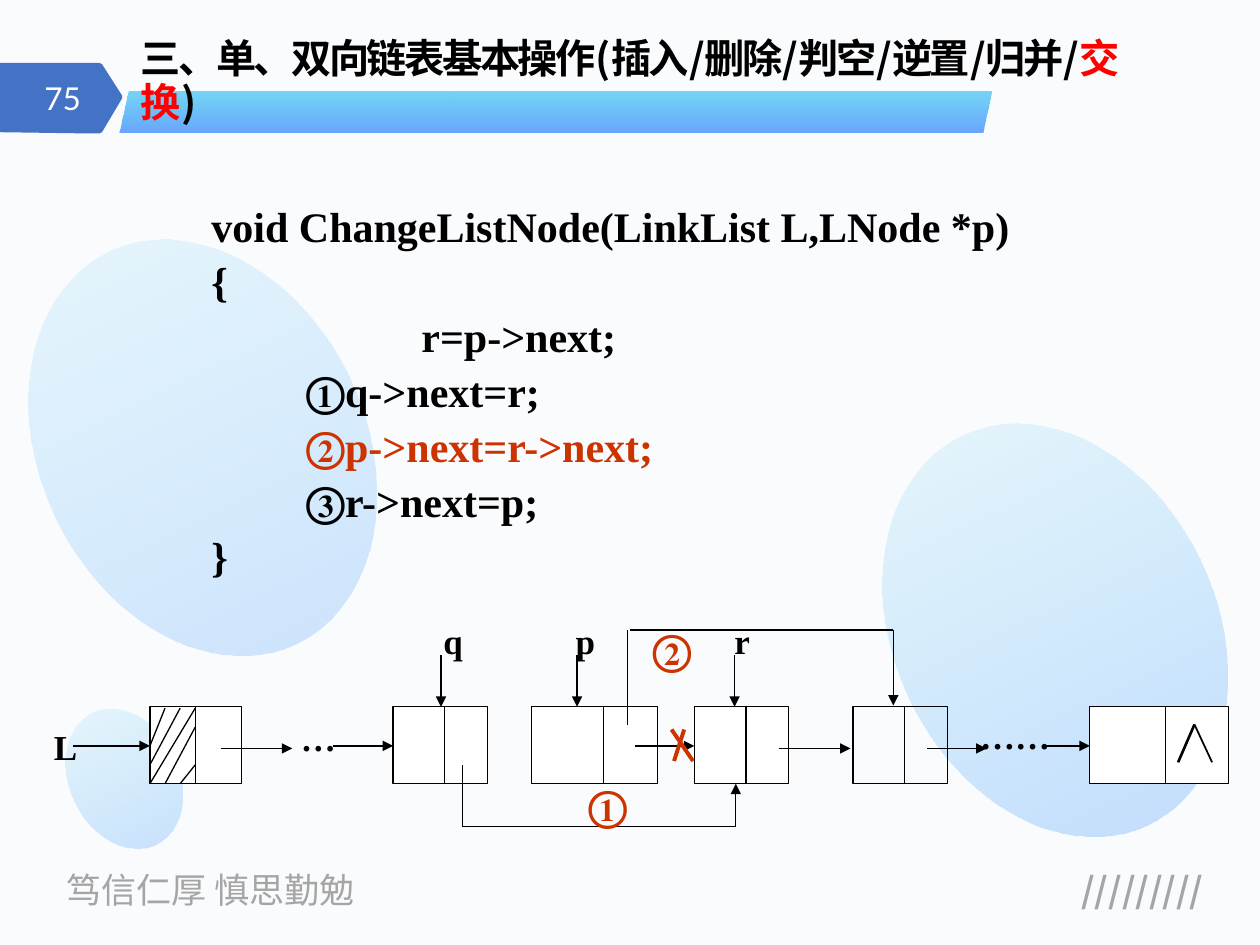
from lxml import etree
from pptx import Presentation
from pptx import util as u
from pptx.dml.color import RGBColor
from pptx.enum import shapes as kinds, text as t
from pptx.oxml import ns

SANS, SERIF = "Noto Sans CJK SC", "Times New Roman"
BLACK, RED, GREY = "000000", "CC3300", "A5A5A5"
LEFT, RIGHT, JUSTIFY = t.PP_ALIGN.LEFT, t.PP_ALIGN.RIGHT, t.PP_ALIGN.JUSTIFY

TITLE = [("三、单、双向链表基本操作(插入/删除/判空/逆置/归并/", BLACK),
         ("交换", "FF0000"), (")", BLACK)]
CODE = [
    ("void ChangeListNode(LinkList L,LNode *p)", BLACK),
    ("{", BLACK),
    ("　　　　　r=p->next;", BLACK),
    ("\t   ①q->next=r;", BLACK),
    ("\t   ②p->next=r->next;", RED),
    ("\t   ③r->next=p;", BLACK),
    ("}", BLACK),
]
OVALS = [(0.55, 5.6, 0.87, 1.16, 24), (7.09, 3.29, 2.56, 3.42, 27), (0.32, 1.83, 2.58, 3.44, 22)]
BADGE = [(0.97, 0.78), (0.81, 1.05), (0.79, 1.06), (0.73, 1.06), (0, 1.05),
         (0, 0.5), (0.73, 0.5), (0.79, 0.5), (0.81, 0.51), (0.97, 0.76)]
NODES = [(1.19, 0.73, 0.36, "FFFFFF"), (3.12, 0.75, 0.41, "FFFFFF"), (4.22, 1, 0.57, "FFFFFF"),
         (5.51, 0.75, 0.41, "FFFFFF"), (6.77, 0.75, 0.41, None), (8.65, 1.1, 0.6, "FFFFFF")]
NODE_TOP, NODE_HEIGHT = 5.61, 0.61
NODE_BOTTOM = NODE_TOP + NODE_HEIGHT
HATCHING = [(1.31, 5.62, 1.19, 5.92), (1.43, 5.62, 1.19, 6.07), (1.55, 5.62, 1.19, 6.22),
            (1.55, 5.77, 1.31, 6.22), (1.55, 6.07, 1.43, 6.22)]
NEXT_LINKS = [(0.58, 1.19, 5.92), (1.75, 2.32, 5.94), (2.64, 3.12, 5.92), (5.04, 5.51, 5.92),
              (6.18, 6.75, 5.94), (7.36, 7.83, 5.94), (8.28, 8.65, 5.92)]
POINTERS = {"q": 3.5, "p": 4.58, "r": 5.83}
LABEL_STOPS = (1.05, 2.31)
DETOURS = [
    (3.67, 6.56, 3.67, 6.07, 0.25, False),
    (3.67, 6.56, 5.84, 6.56, 0.75, False),
    (5.84, 6.56, 5.84, NODE_BOTTOM, 0.75, True),
    (4.98, 5.75, 4.98, 5, 0.25, False),
    (5, 5, 7.09, 5, 0.75, False),
    (7.09, 5, 7.09, 5.6, 0.75, True),
]
CROSS = [(5.43, 5.79, 5.35, 6.04), (5.33, 5.79, 5.5, 6.04)]
NULL_MARK = [(9.35, 6.05, 9.48, 5.75, 1.5), (9.48, 5.75, 9.62, 6.05, 1)]
MARKS = [
    ("L", 0.33, 5.71, 0.42, 0.42, 20, BLACK, JUSTIFY),
    ("…", 2.29, 5.64, 0.48, 0.33, 20, BLACK, JUSTIFY),
    ("……", 7.68, 5.62, 0.82, 0.33, 20, BLACK, JUSTIFY),
    ("①", 4.57, 6.14, 0.54, 0.5, 24, RED, LEFT),
    ("②", 5.08, 4.9, 0.54, 0.5, 24, RED, LEFT),
]


def inch(value):
    return u.Cm(value * 2.54)


def color(value):
    return RGBColor.from_string(value)


def child(parent, tag, **attributes):
    return etree.SubElement(parent, ns.qn(tag), attributes)


def outline(line, tint=BLACK, points=0.75):
    line.color.rgb = color(tint)
    line.width = u.Pt(points)


def shape(kind, left, top, width, height):
    made = slide.shapes.add_shape(kind, *map(inch, (left, top, width, height)))
    made.shadow.inherit = False
    made.line.fill.background()
    return made


def gradient(target, *stops):
    target.fill.gradient()
    target.fill.gradient_angle = 270
    for stop, (tint, alpha) in zip(target.fill.gradient_stops, stops):
        stop.color.rgb = color(tint)
        stop.position = 0 if tint == stops[0][0] else 1
        for mark in stop._gs.iter(ns.qn("a:srgbClr")):
            child(mark, "a:alpha", val=str(alpha * 1000))


def line(x1, y1, x2, y2, points=0.75, arrow=False, tint=BLACK):
    made = slide.shapes.add_connector(kinds.MSO_CONNECTOR.STRAIGHT, *map(inch, (x1, y1, x2, y2)))
    outline(made.line, tint, points)
    if arrow:
        child(made.line._get_or_add_ln(), "a:tailEnd", type="triangle")
    child(made._element.spPr, "a:effectLst")


def textbox(lines, left, top, width, height, size, font=SERIF, align=LEFT, bold=True,
            anchor=t.MSO_ANCHOR.TOP, leading=None, before=0, stops=(), tracking=None):
    frame = slide.shapes.add_textbox(*map(inch, (left, top, width, height))).text_frame
    frame.word_wrap = True
    frame.vertical_anchor = anchor
    for index, runs in enumerate(lines):
        paragraph = frame.add_paragraph() if index else frame.paragraphs[0]
        paragraph.alignment = align
        if leading:
            paragraph.line_spacing = leading
        if index:
            paragraph.space_before = u.Pt(before)
        properties = paragraph._p.get_or_add_pPr()
        if stops:
            tabs = child(properties, "a:tabLst")
            for stop in stops:
                child(tabs, "a:tab", pos=str(inch(stop)), algn="l")
        paragraph.font.size = u.Pt(size)
        paragraph.font.bold = bold
        paragraph.font.name = font
        tints = {tint for _, tint in runs}
        if len(tints) == 1:
            paragraph.font.color.rgb = color(runs[0][1])
        defaults = properties.find(ns.qn("a:defRPr"))
        child(defaults, "a:ea", typeface=font)
        if tracking:
            defaults.set("spc", str(tracking))
        for words, tint in runs:
            run = paragraph.add_run()
            run.text = words
            if len(tints) > 1:
                run.font.color.rgb = color(tint)


deck = Presentation()
deck.slide_width, deck.slide_height = inch(10), inch(7.5)
slide = deck.slides.add_slide(deck.slide_layouts[6])
slide.background.fill.solid()
slide.background.fill.fore_color.rgb = color("F9FBFD")

textbox([[("笃信仁厚 慎思勤勉", GREY)]], 0.43, 6.84, 2.7, 0.44, 20, SANS, bold=False)
textbox([[("/////////", GREY)]], 7.67, 6.84, 1.98, 0.44, 20, SANS, RIGHT)

for *place, alpha in OVALS:
    oval = shape(kinds.MSO_SHAPE.OVAL, *place)
    oval.rotation = 154.4
    gradient(oval, ("3385FF", alpha), ("00B0F0", 8))

corners = [(inch(x), inch(y)) for x, y in BADGE]
builder = slide.shapes.build_freeform(*corners[0])
builder.add_line_segments(corners[1:], close=True)
badge = builder.convert_to_shape()
badge.shadow.inherit = False
badge.fill.solid()
badge.fill.fore_color.rgb = color("4472C4")
badge.line.fill.background()
textbox([[("75", "FFFFFF")]], 0.1, 0.58, 0.64, 0.4, 18, "Lato", RIGHT, False, t.MSO_ANCHOR.MIDDLE)

banner = shape(kinds.MSO_SHAPE.PARALLELOGRAM, 0.95, 0.73, 6.92, 0.32)
banner.adjustments[0] = 0.23
gradient(banner, ("00B0F0", 52), ("3385FF", 73))
textbox([TITLE], 1.02, 0.4, 8.19, 0.65, 23, SANS, anchor=t.MSO_ANCHOR.BOTTOM,
        leading=0.9, tracking=-150)

for left, width, divider, fill in NODES:
    node = shape(kinds.MSO_SHAPE.RECTANGLE, left, NODE_TOP, width, NODE_HEIGHT)
    outline(node.line)
    if fill:
        node.fill.solid()
        node.fill.fore_color.rgb = color(fill)
    else:
        node.fill.background()
    line(left + divider, NODE_TOP, left + divider, NODE_BOTTOM)

for stroke in HATCHING:
    line(*stroke)
for start, end, y in NEXT_LINKS:
    line(start, y, end, y, arrow=True)
for x in POINTERS.values():
    line(x, 5.2, x, NODE_TOP, arrow=True)
for detour in DETOURS:
    line(*detour)
for stroke in CROSS:
    line(*stroke, points=2.25, tint=RED)
for stroke in NULL_MARK:
    line(*stroke)

textbox([[("\t".join(POINTERS), BLACK)]], 3.42, 4.87, 3.83, 0.43, 20, stops=LABEL_STOPS)
for mark, left, top, width, height, size, tint, align in MARKS:
    textbox([[(mark, tint)]], left, top, width, height, size, align=align)
textbox([[row] for row in CODE], 1.58, 1.59, 6.93, 3.43, 24, leading=0.9, before=5.5)

deck.save("out.pptx")
